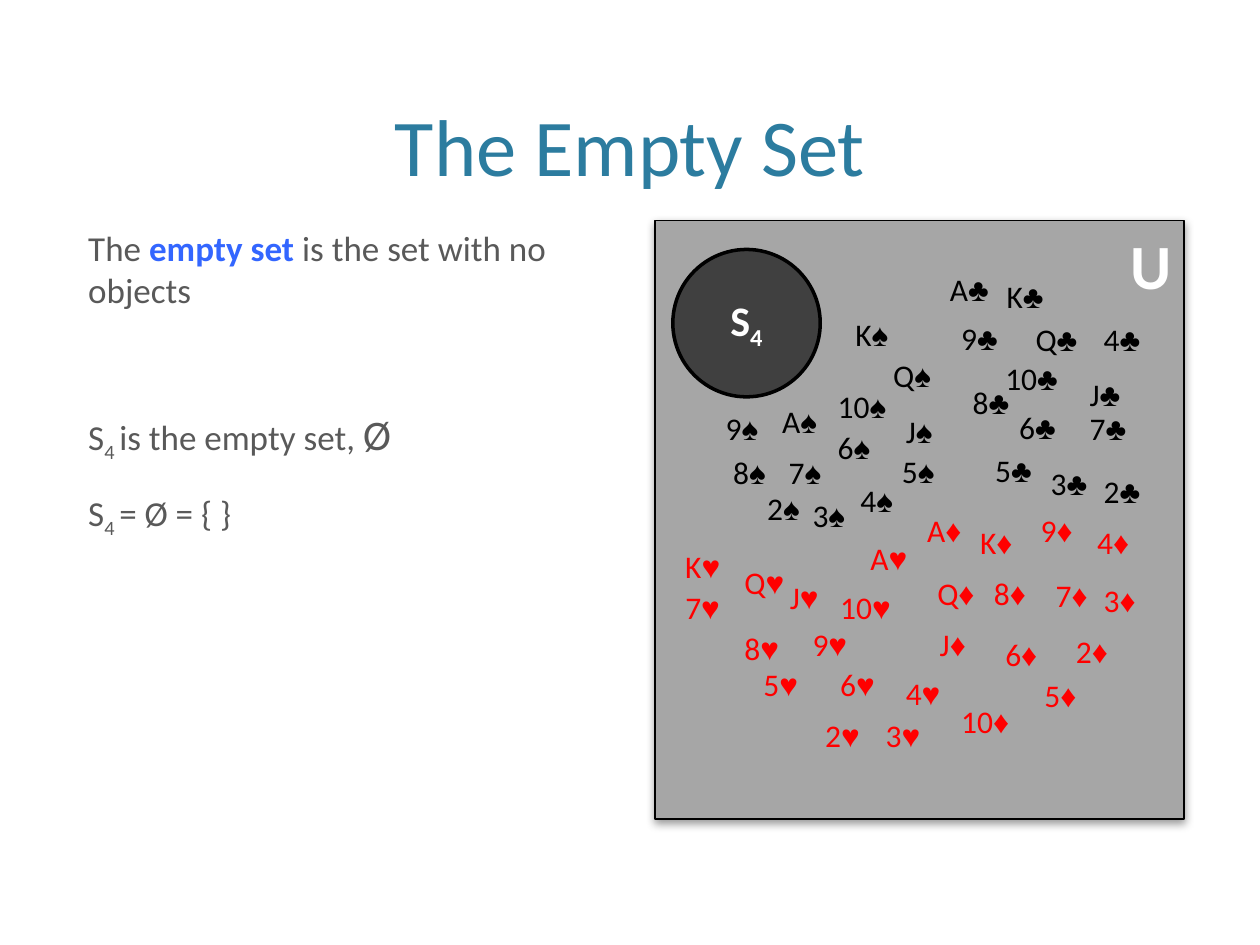
from lxml import etree
from pptx import Presentation
from pptx.dml.color import RGBColor
from pptx.enum.shapes import MSO_SHAPE
from pptx.enum.text import MSO_ANCHOR, MSO_AUTO_SIZE, PP_ALIGN
from pptx.oxml import parse_xml
from pptx.oxml.ns import nsdecls, qn
from pptx.util import Inches, Pt

BLACK, WHITE, RED = "000000", "FFFFFF", "FF0000"
RANKS = ["K", "A", "Q", "J", "10", "9", "8", "7", "6", "5", "4", "3", "2"]
CARD_WIDTHS = {"K": 0.56, "Q": 0.58, "J": 0.52, "10": 0.71}
CARD_WIDTH, CARD_HEIGHT = 0.55, 0.4

# suit, colour, bold symbol, left and top of each card in the order of RANKS
SUITS = [
    ("♠", BLACK, True, [
        (6.69, 2.45), (6.11, 3.14), (6.99, 2.78), (7.09, 3.22), (6.55, 3.02),
        (5.66, 3.2), (5.72, 3.55), (6.16, 3.55), (6.55, 3.35), (7.06, 3.54),
        (6.73, 3.77), (6.35, 3.89), (5.99, 3.83)]),
    ("♣", BLACK, True, [
        (7.89, 2.15), (7.44, 2.09), (8.12, 2.49), (8.55, 2.93), (7.88, 2.8),
        (7.53, 2.48), (7.62, 2.99), (8.55, 3.2), (7.99, 3.19), (7.8, 3.53),
        (8.66, 2.49), (8.24, 3.63), (8.66, 3.7)]),
    ("♥", RED, True, [
        (5.34, 4.29), (6.81, 4.23), (5.81, 4.42), (6.17, 4.54), (6.57, 4.62),
        (6.35, 4.91), (5.81, 4.94), (5.34, 4.62), (6.57, 5.23), (5.96, 5.23),
        (7.09, 5.3), (6.93, 5.63), (6.45, 5.63)]),
    ("♦", RED, False, [
        (7.68, 4.1), (7.26, 4.01), (7.34, 4.51), (7.36, 4.91), (7.53, 5.52),
        (8.16, 4.01), (7.79, 4.51), (8.28, 4.52), (7.88, 4.99), (8.19, 5.32),
        (8.61, 4.1), (8.66, 4.56), (8.44, 4.97)]),
]


def color(hex_string):
    return RGBColor.from_string(hex_string)


def add_text(paragraph, text, size=20, fill="595959", font="Calibri", bold=False,
             subscript=False):
    run = paragraph.add_run()
    run.text = text
    run.font.size = Pt(size)
    run.font.name = font
    run.font.bold = bold
    run.font.color.rgb = color(fill)
    if subscript:
        run._r.get_or_add_rPr().set("baseline", "-25000")


def add_shadow(shape):
    """Give the shape a soft shadow that falls straight down."""
    shape.shadow.inherit = False
    effects = shape._element.spPr.find(qn("a:effectLst"))
    effects.append(parse_xml(
        f'<a:outerShdw {nsdecls("a")} blurRad="{Pt(5)}" dist="{Pt(2)}" dir="5400000" '
        'rotWithShape="0"><a:srgbClr val="000000"><a:alpha val="40000"/></a:srgbClr>'
        '</a:outerShdw>'))


class SetSlide:
    def __init__(self, presentation):
        self.slide = presentation.slides.add_slide(presentation.slide_layouts[1])

    def place(self, shape, left, top, width, height, anchor):
        shape.left, shape.top = Inches(left), Inches(top)
        shape.width, shape.height = Inches(width), Inches(height)
        shape.text_frame.auto_size = MSO_AUTO_SIZE.NONE
        shape.text_frame.vertical_anchor = anchor

    def title(self, text, *box):
        shape = self.slide.shapes.title
        self.place(shape, *box, MSO_ANCHOR.BOTTOM)
        paragraph = shape.text_frame.paragraphs[0]
        paragraph.alignment = PP_ALIGN.CENTER
        add_text(paragraph, text, size=46, fill="2C7C9F")

    def body(self, entries, *box):
        """Fill the body from pairs of space before and runs."""
        shape = self.slide.placeholders[1]
        self.place(shape, *box, MSO_ANCHOR.TOP)
        frame = shape.text_frame
        for index, (space, runs) in enumerate(entries):
            paragraph = frame.add_paragraph() if index else frame.paragraphs[0]
            paragraph.space_before = Pt(space)
            properties = paragraph._p.get_or_add_pPr()
            properties.set("marL", "0")
            properties.set("indent", "0")
            etree.SubElement(properties, qn("a:buNone"))
            for text, style in runs:
                add_text(paragraph, text, **style)

    def shape(self, kind, *box, fill, line_width, anchor, alignment, runs):
        shape = self.slide.shapes.add_shape(kind, 0, 0, 0, 0)
        self.place(shape, *box, anchor)
        shape.shadow.inherit = False
        shape.fill.solid()
        shape.fill.fore_color.rgb = color(fill)
        shape.line.color.rgb = color(BLACK)
        shape.line.width = Pt(line_width)
        paragraph = shape.text_frame.paragraphs[0]
        paragraph.alignment = alignment
        for text, style in runs:
            add_text(paragraph, text, fill=WHITE, bold=True, **style)
        return shape

    def card(self, rank, suit, left, top, fill, bold):
        width = CARD_WIDTHS.get(rank, CARD_WIDTH)
        box = self.slide.shapes.add_textbox(
            Inches(left), Inches(top), Inches(width), Inches(CARD_HEIGHT))
        box.text_frame.word_wrap = False
        box.text_frame.auto_size = MSO_AUTO_SIZE.SHAPE_TO_FIT_TEXT
        paragraph = box.text_frame.paragraphs[0]
        add_text(paragraph, rank, size=18, fill=fill)
        add_text(paragraph, suit, size=18, fill=fill, font="Arial", bold=bold)


def main():
    presentation = Presentation()
    presentation.slide_width, presentation.slide_height = Inches(10), Inches(7.5)
    page = SetSlide(presentation)

    page.title("The Empty Set", 0.6, 0.12, 8.8, 1.46)
    page.body([
        (16, [("The ", {}), ("empty set ", {"fill": "3366FF", "bold": True}),
              ("is the set with no objects", {})]),
        (56, [("S", {}), ("4 ", {"subscript": True}), ("is the empty set, ", {}),
              ("Ø", {"size": 24})]),
        (16, [("S", {}), ("4 ", {"subscript": True}), ("= Ø = { }", {})]),
    ], 0.6, 1.75, 4.2, 4.75)

    universe = page.shape(
        MSO_SHAPE.RECTANGLE, 5.2, 1.75, 4.2, 4.75, fill="A6A6A6", line_width=1,
        anchor=MSO_ANCHOR.TOP, alignment=PP_ALIGN.RIGHT, runs=[("U", {"size": 36})])
    add_shadow(universe)
    page.shape(
        MSO_SHAPE.OVAL, 5.34, 1.98, 1.17, 1.17, fill="404040", line_width=2,
        anchor=MSO_ANCHOR.MIDDLE, alignment=PP_ALIGN.CENTER,
        runs=[("S", {"size": 24}), ("4", {"size": 24, "subscript": True})])

    for suit, fill, bold, positions in SUITS:
        for rank, (left, top) in zip(RANKS, positions):
            page.card(rank, suit, left, top, fill, bold)

    presentation.save("out.pptx")


if __name__ == "__main__":
    main()
